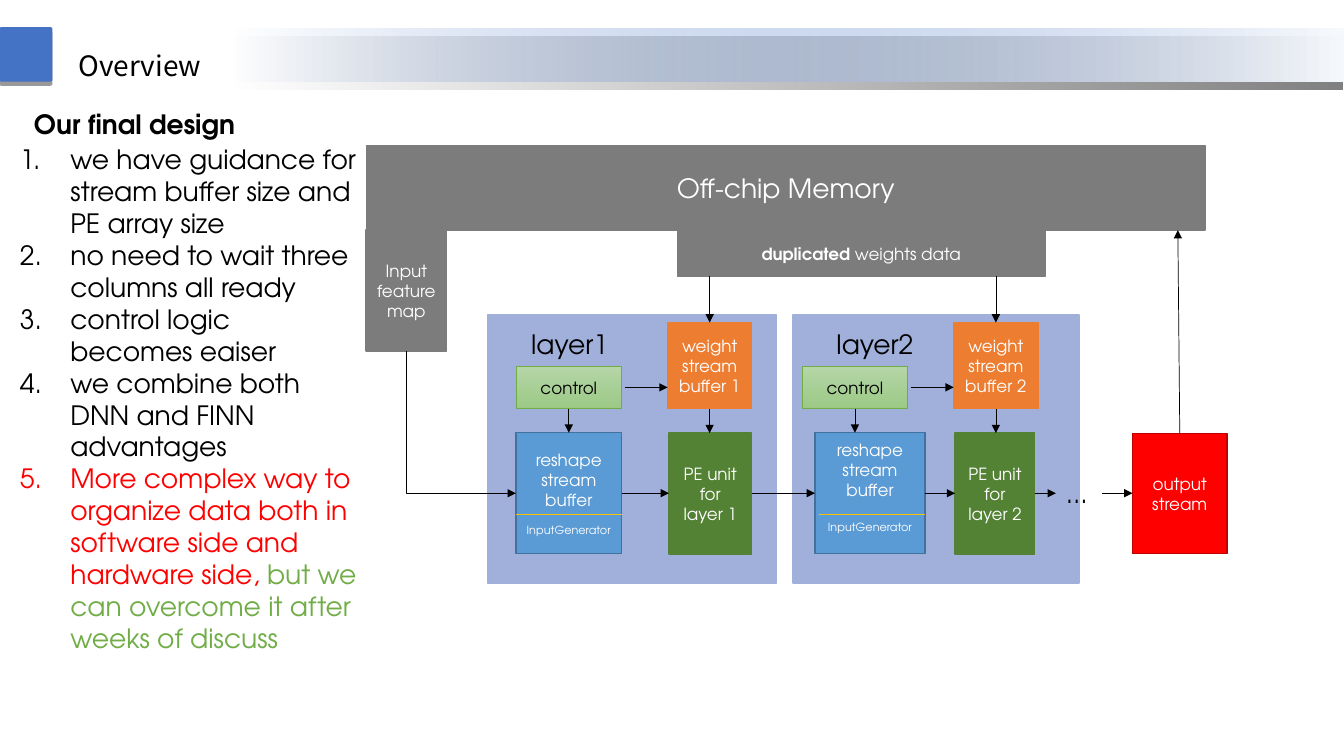
from dataclasses import dataclass

from pptx import Presentation
from pptx import util as u
from pptx import oxml
from pptx.dml import color
from pptx.enum import shapes, text
from pptx.oxml import ns


@dataclass(frozen=True)
class Theme:
    body_font: str = "TeX Gyre Adventor"
    title_font: str = "Noto Sans CJK SC"
    title: float = 20
    large: float = 19
    label: float = 12
    small: float = 8
    black: str = "000000"
    white: str = "FFFFFF"
    accent: str = "4472C4"
    pale: str = "F7FAFD"
    memory: str = "7C7C7C"
    layer: str = "A0B0DB"
    weight: str = "ED7D31"
    unit: str = "548235"
    reshape: str = "5B9BD5"
    reshape_edge: str = "41719C"
    control_top: str = "B5D5A7"
    control_bottom: str = "9CCA86"
    green: str = "70AD47"
    red: str = "FF0000"
    red_edge: str = "C00000"
    divider: str = "FFC000"


@dataclass(frozen=True)
class Box:
    left: float
    top: float
    width: float
    height: float

    @property
    def right(self):
        return self.left + self.width

    @property
    def bottom(self):
        return self.top + self.height

    @property
    def center(self):
        return self.left + self.width / 2

    @property
    def middle(self):
        return self.top + self.height / 2

    def inner(self, left, top, width, height):
        """Box given relative to this one's top left corner."""
        return Box(self.left + left, self.top + top, width, height)

    def lengths(self):
        return [u.Pt(n) for n in (self.left, self.top, self.width, self.height)]


THEME = Theme()
ARROW = f'<a:tailEnd {ns.nsdecls("a")} type="triangle"/>'
NO_EFFECTS = f'<a:effectLst {ns.nsdecls("a")}/>'


def rgb(value):
    return color.RGBColor.from_string(value)


def style(font, size, ink, name=THEME.body_font, bold=None):
    font.size, font.name, font.bold = u.Pt(size), name, bold
    font.color.rgb = rgb(ink)


def add_block(page, box, fill, edge=None, weight=1, kind=shapes.MSO_SHAPE.RECTANGLE):
    """Filled shape; a pair of colours as fill makes a gradient."""
    block = page.shapes.add_shape(kind, *box.lengths())
    block.shadow.inherit = False
    if isinstance(fill, tuple):
        block.fill.gradient()
        block.fill.gradient_angle = 270
        for stop, value in zip(block.fill.gradient_stops, fill):
            stop.color.rgb = rgb(value)
    else:
        block.fill.solid()
        block.fill.fore_color.rgb = rgb(fill)
    if edge:
        block.line.color.rgb = rgb(edge)
        block.line.width = u.Pt(weight)
    else:
        block.line.fill.background()
    return block


def write(block, words, size=THEME.label, ink=THEME.white):
    """Centred label inside a block."""
    frame = block.text_frame
    frame.word_wrap = True
    frame.vertical_anchor = text.MSO_ANCHOR.MIDDLE
    para = frame.paragraphs[0]
    para.text = words
    para.alignment = text.PP_ALIGN.CENTER
    style(para.font, size, ink)
    return para


def add_text(page, box, words, size=THEME.large, name=THEME.body_font, bold=None):
    frame = page.shapes.add_textbox(*box.lengths()).text_frame
    frame.word_wrap = True
    para = frame.paragraphs[0]
    para.text = words
    style(para.font, size, THEME.black, name, bold)
    return frame


def add_line(page, start, end, ink=THEME.black, arrow=True, kind=shapes.MSO_CONNECTOR.STRAIGHT):
    line = page.shapes.add_connector(kind, *[u.Pt(n) for n in (*start, *end)])
    line.line.color.rgb = rgb(ink)
    line.line.width = u.Pt(0.5)
    properties = line._element.spPr
    if arrow:
        properties.find(ns.qn("a:ln")).append(oxml.parse_xml(ARROW))
    properties.append(oxml.parse_xml(NO_EFFECTS))
    return line


def add_down_then_right(page, start, end):
    """One-bend arrow: the preset bend, mirrored and turned by 270 degrees."""
    run, drop = end[0] - start[0], end[1] - start[1]
    center, middle = start[0] + run / 2, start[1] + drop / 2
    line = add_line(page, (center + drop / 2, middle - run / 2),
                    (center - drop / 2, middle + run / 2), kind=shapes.MSO_CONNECTOR.ELBOW)
    properties = line._element.spPr
    properties.find(ns.qn("a:prstGeom")).set("prst", "bentConnector2")
    properties.find(ns.qn("a:xfrm")).set("rot", str(270 * 60000))


def cast_shadow(block, distance, angle, opacity):
    block._element.spPr.find(ns.qn("a:effectLst")).append(oxml.parse_xml(
        f'<a:outerShdw {ns.nsdecls("a")} blurRad="0" dist="{u.Pt(distance)}" '
        f'dir="{angle * 60000}" algn="ctr" rotWithShape="0"><a:srgbClr val="{THEME.black}">'
        f'<a:alpha val="{opacity * 1000}"/></a:srgbClr></a:outerShdw>'))


def add_header(page, box):
    band = add_block(page, box.inner(163.2, 0.7, 797, 38.2), (THEME.pale, THEME.accent))
    band.fill.gradient_angle = 180
    clear_color = band._element.spPr.findall(".//" + ns.qn("a:srgbClr"))[1]
    clear_color.append(oxml.parse_xml(f'<a:alpha {ns.nsdecls("a")} val="0"/>'))
    cast_shadow(band, 6, 97, 50)
    tab = add_block(page, box.inner(-0.5, 0, 38, 38.9), THEME.accent,
                    kind=shapes.MSO_SHAPE.ROUNDED_RECTANGLE)
    tab.adjustments[0] = 0.04
    cast_shadow(tab, 3, 90, 40)
    frame = add_text(page, box.inner(49, 0, 114, 43), "Overview", THEME.title, THEME.title_font)
    frame.paragraphs[0].line_spacing = 1.5


def add_points(page, box):
    add_text(page, box.inner(10, 0, 184, 30), "Our final design", bold=True)
    points = [
        [("we have guidance for stream buffer size and PE array size", THEME.black)],
        [("no need to wait three columns all ready", THEME.black)],
        [("control logic becomes eaiser", THEME.black)],
        [("we combine both DNN and FINN advantages", THEME.black)],
        [("More complex way to organize data both in software side and hardware side, ", THEME.red),
         ("but we can overcome it after weeks of discuss", THEME.green)],
    ]
    frame = add_text(page, box.inner(0, 25.4, box.width, box.height - 25.4), "")
    for index, parts in enumerate(points):
        para = frame.add_paragraph() if index else frame.paragraphs[0]
        properties = para._p.get_or_add_pPr()
        properties.set("marL", str(u.Pt(36)))
        properties.set("indent", str(-u.Pt(36)))
        ink = parts[0][1]
        for bullet in (f'<a:buClr {ns.nsdecls("a")}><a:srgbClr val="{ink}"/></a:buClr>',
                       f'<a:buFont {ns.nsdecls("a")} typeface="+mj-lt"/>',
                       f'<a:buAutoNum {ns.nsdecls("a")} type="arabicPeriod"/>'):
            properties.insert_element_before(oxml.parse_xml(bullet), "a:tabLst", "a:defRPr")
        style(para.font, THEME.large, ink)
        for words, tone in parts:
            span = para.add_run()
            span.text = words
            if tone != ink:
                span.font.color.rgb = rgb(tone)


def add_memory(page, box):
    """Memory bar with its two lower parts; returns those parts."""
    feature = box.inner(-0.5, 60.5, 57.6, 86.4)
    weights = box.inner(222, 60.5, 262.8, 33.1)
    write(add_block(page, feature, THEME.memory, THEME.memory), "Input feature map")
    para = write(add_block(page, weights, THEME.memory, THEME.memory), "duplicated")
    para.runs[0].font.bold = True
    para.add_run().text = " weights data"
    write(add_block(page, box, THEME.memory, THEME.memory), "Off-chip Memory", THEME.large)
    return feature, weights


def add_layer(page, box, number, control_x, reshape_x, reshape_width, unit_x, unit_width,
              gap, tail, divider_x, source_y):
    """One network layer fed from source_y; returns its reshape and PE boxes."""
    add_block(page, box, THEME.layer, THEME.layer)
    add_text(page, box.inner(24, 6, 110, 30), f"layer{number}")
    control = box.inner(control_x, 36.7, 75.6, 30.2)
    weight = box.inner(unit_x - 1, 5.5, 60.2, 61.5)
    reshape = box.inner(reshape_x, 84.2, reshape_width, 86.4)
    unit = box.inner(unit_x, 84.5, unit_width, 86.4)
    write(add_block(page, control, (THEME.control_top, THEME.control_bottom), THEME.green, 0.5),
          "control", ink=THEME.black)
    write(add_block(page, weight, THEME.weight, THEME.weight), f"weight stream buffer {number}")
    write(add_block(page, unit, THEME.unit, THEME.unit), f"PE unit for layer {number}")
    buffer = add_block(page, reshape, THEME.reshape, THEME.reshape_edge)
    write(buffer, "reshape stream buffer")
    buffer.text_frame.margin_bottom = u.Pt(3.6 + tail)
    para = buffer.text_frame.add_paragraph()
    para.text = "InputGenerator"
    para.alignment = text.PP_ALIGN.CENTER
    para.space_before = u.Pt(gap)
    style(para.font, THEME.small, THEME.white)
    add_line(page, (reshape.left + divider_x, reshape.top + 58.3),
             (reshape.right, reshape.top + 58.3), THEME.divider, arrow=False)
    for start, end in (
            ((weight.center, source_y), (weight.center, weight.top)),
            ((weight.center, weight.bottom), (weight.center, unit.top)),
            ((control.right + 2.5, control.middle), (weight.left, control.middle)),
            ((control.center, control.bottom), (control.center, reshape.top)),
            ((reshape.right, reshape.middle), (unit.left, reshape.middle))):
        add_line(page, start, end)
    return reshape, unit


def add_diagram(page, box):
    memory = box.inner(0, 0, 599, 60.5)
    feature, weights = add_memory(page, memory)
    first_in, first_out = add_layer(
        page, box.inner(86.4, 121, 206.6, 191.5), 1, control_x=20.2, reshape_x=20.2,
        reshape_width=75.6, unit_x=129.6, unit_width=59, gap=9.6, tail=0, divider_x=0,
        source_y=weights.bottom)
    second_in, second_out = add_layer(
        page, box.inner(304.6, 121, 204.5, 191.5), 2, control_x=6.5, reshape_x=15.8,
        reshape_width=78.5, unit_x=115.9, unit_width=56.9, gap=14.4, tail=9.6, divider_x=2.9,
        source_y=weights.bottom)
    output = box.inner(547.2, 205.9, 67.7, 85.7)
    write(add_block(page, output, THEME.red, THEME.red_edge), "output stream")
    dots = box.inner(492.5, 233.3, 33.1, 30.2)
    add_text(page, dots, "...")
    flow = first_in.middle
    add_down_then_right(page, (feature.center, feature.bottom), (first_in.left, flow))
    for start, end in ((first_out.right, second_in.left), (second_out.right, dots.left),
                       (dots.right, output.left)):
        add_line(page, (start, flow), (end, flow))
    add_line(page, (output.center, output.top), (output.center - 1.4, memory.bottom))


def main():
    deck = Presentation()
    deck.slide_width, deck.slide_height = u.Pt(960.48), u.Pt(540)
    page = deck.slides.add_slide(deck.slide_layouts[6])
    add_header(page, Box(0, 19.4, 960.5, 43))
    add_points(page, Box(7.2, 73.4, 255, 374))
    add_diagram(page, Box(262.1, 103.9, 615, 313))
    deck.save("out.pptx")


if __name__ == "__main__":
    main()
